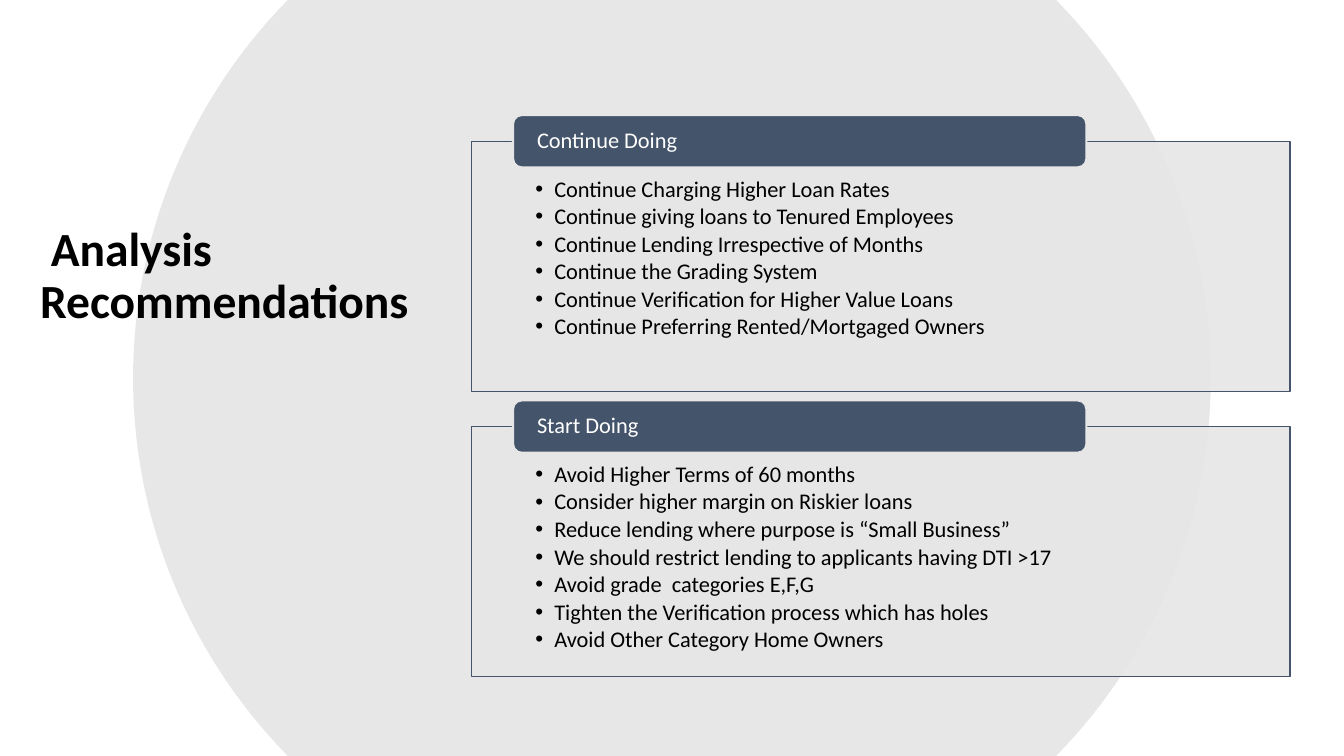
"""Build the recommendations slide with two titled lists over a large disc."""
import math
from dataclasses import dataclass

from lxml import etree
from pptx import Presentation
from pptx import util as u
from pptx.dml.color import RGBColor
from pptx.enum import shapes, text
from pptx.oxml.ns import qn

TITLE = " Analysis Recommendations"
SECTIONS = [
    ("Continue Doing", [
        "Continue Charging Higher Loan Rates",
        "Continue giving loans to Tenured Employees",
        "Continue Lending Irrespective of Months",
        "Continue the Grading System",
        "Continue Verification for Higher Value Loans",
        "Continue Preferring Rented/Mortgaged Owners",
    ]),
    ("Start Doing", [
        "Avoid Higher Terms of 60 months",
        "Consider higher margin on Riskier loans",
        "Reduce lending where purpose is “Small Business”",
        "We should restrict lending to applicants having DTI >17",
        "Avoid grade  categories E,F,G",
        "Tighten the Verification process which has holes",
        "Avoid Other Category Home Owners",
    ]),
]


@dataclass(frozen=True)
class Theme:
    """Colours, font and type sizes."""
    font: str = "Calibri"
    title_size: int = 34
    body_size: int = 16
    ink: str = "000000"
    light: str = "FFFFFF"
    navy: str = "44546A"
    panel: str = "E7E6E6"
    disc: str = "D9D9D9"


THEME = Theme()
WIDTH, HEIGHT = 33.87, 19.05
DISC_RADIUS = 13.58
TITLE_BOX = (0.76, -1.5, 10.36, 9.91)
PANEL_LEFT, PANEL_TOP, PANEL_WIDTH, PANEL_HEIGHT = 11.89, 3.56, 20.62, 6.3
PANEL_PITCH = 7.19
TAB_LEFT, TAB_RISE, TAB_WIDTH, TAB_HEIGHT = 12.93, 0.66, 14.45, 1.32
BULLET_INDENT = 0.48


def paint(shape, fill, line=None, weight=1, opacity=100):
    """Set the fill and outline of a shape."""
    shape.shadow.inherit = False
    shape.fill.solid()
    shape.fill.fore_color.rgb = RGBColor.from_string(fill)
    if opacity < 100:
        colour = shape._element.spPr.find(qn("a:solidFill"))[0]
        etree.SubElement(colour, qn("a:alpha"), val=str(opacity * 1000))
    if line:
        shape.line.color.rgb = RGBColor.from_string(line)
        shape.line.width = u.Pt(weight)
    else:
        shape.line.fill.background()


def write(shape, lines, size=THEME.body_size, colour=THEME.ink, bold=False,
          anchor=text.MSO_ANCHOR.TOP, insets=(0.25, 0.13, 0.25, 0.13), bullet=None, after=0):
    """Write one paragraph per line into a shape."""
    frame = shape.text_frame
    frame.word_wrap = True
    frame.auto_size = text.MSO_AUTO_SIZE.NONE
    frame.vertical_anchor = anchor
    (frame.margin_left, frame.margin_top,
     frame.margin_right, frame.margin_bottom) = map(u.Cm, insets)
    for index, line in enumerate(lines):
        paragraph = frame.add_paragraph() if index else frame.paragraphs[0]
        paragraph.alignment = text.PP_ALIGN.LEFT
        paragraph.line_spacing = 0.9
        paragraph.space_before = u.Pt(0)
        paragraph.space_after = u.Pt(after)
        run = paragraph.add_run()
        run.text = line
        run.font.name, run.font.size, run.font.bold = THEME.font, u.Pt(size), bold
        run.font.color.rgb = RGBColor.from_string(colour)
        if bullet:
            properties = paragraph._p.get_or_add_pPr()
            properties.set("marL", str(u.Cm(BULLET_INDENT)))
            properties.set("indent", str(-u.Cm(BULLET_INDENT)))
            etree.SubElement(properties, qn("a:buFont"), typeface="Arial")
            etree.SubElement(properties, qn("a:buChar"), char=bullet)


def add_disc(slide):
    """Draw a centred disc cut off at the top and bottom slide edges."""
    limit = math.asin(HEIGHT / 2 / DISC_RADIUS)
    steps = 60
    right_arc = [limit * (2 * step / steps - 1) for step in range(steps + 1)]
    angles = right_arc + [math.pi + angle for angle in right_arc]
    points = [(u.Cm(WIDTH / 2 + DISC_RADIUS * math.cos(angle)),
               u.Cm(HEIGHT / 2 + DISC_RADIUS * math.sin(angle))) for angle in angles]
    builder = slide.shapes.build_freeform(*points[0])
    builder.add_line_segments(points[1:], close=True)
    paint(builder.convert_to_shape(), THEME.disc, opacity=62)


def add_title(slide):
    """Place the title in front of the disc."""
    title = slide.shapes.title
    title.left, title.top, title.width, title.height = map(u.Cm, TITLE_BOX)
    write(title, [TITLE], size=THEME.title_size, bold=True, anchor=text.MSO_ANCHOR.BOTTOM)
    slide.shapes._spTree.append(title._element)


def add_section(slide, top, heading, items):
    """Draw a panel of bullets with a heading tab over its upper edge."""
    kinds = shapes.MSO_SHAPE
    panel = slide.shapes.add_shape(
        kinds.RECTANGLE, *map(u.Cm, (PANEL_LEFT, top, PANEL_WIDTH, PANEL_HEIGHT)))
    paint(panel, THEME.panel, line=THEME.navy, opacity=90)
    write(panel, items, insets=(1.6, 0.92, 1.6, 0.3), bullet="•", after=2.4)
    tab = slide.shapes.add_shape(
        kinds.ROUNDED_RECTANGLE, *map(u.Cm, (TAB_LEFT, top - TAB_RISE, TAB_WIDTH, TAB_HEIGHT)))
    paint(tab, THEME.navy, line=THEME.panel, weight=1.5)
    write(tab, [heading], colour=THEME.light, anchor=text.MSO_ANCHOR.MIDDLE,
          insets=(0.54, 0, 0.54, 0))


def main():
    """Build and save the presentation."""
    presentation = Presentation()
    presentation.slide_width, presentation.slide_height = u.Cm(WIDTH), u.Cm(HEIGHT)
    slide = presentation.slides.add_slide(presentation.slide_layouts.get_by_name("Title Only"))
    add_disc(slide)
    add_title(slide)
    for index, (heading, items) in enumerate(SECTIONS):
        add_section(slide, PANEL_TOP + index * PANEL_PITCH, heading, items)
    presentation.save("out.pptx")


if __name__ == "__main__":
    main()
